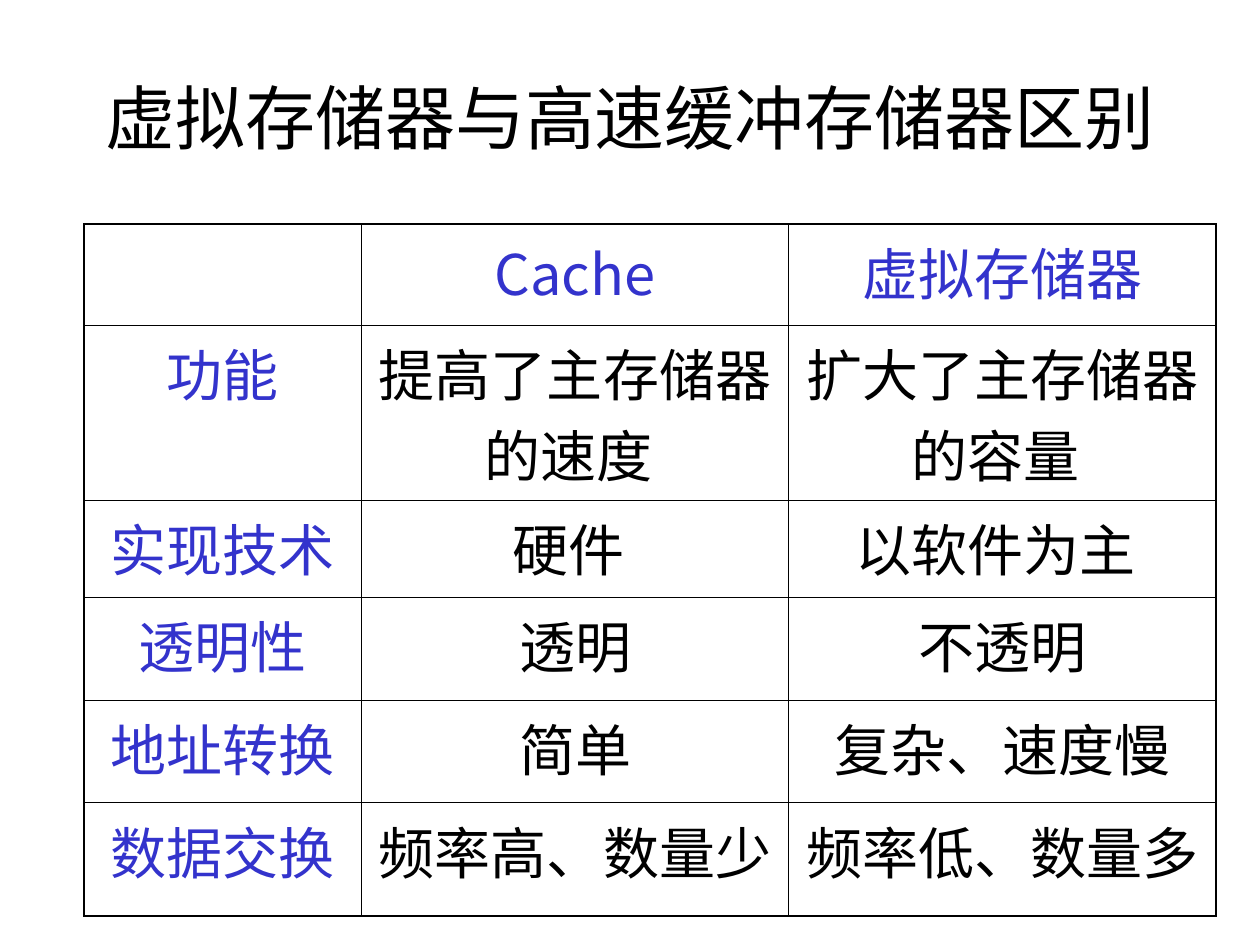
from lxml.etree import SubElement
from pptx import Presentation
from pptx.dml.color import RGBColor
from pptx.enum.text import MSO_ANCHOR, PP_ALIGN
from pptx.oxml import parse_xml
from pptx.oxml.ns import nsdecls, qn
from pptx.util import Cm, Pt

COLORS = {"text": "000000", "heading": "3333CC", "border": "000000"}
TABLE_FONT = "Noto Sans CJK SC"
COLUMN_WIDTHS = [5.59, 8.61, 8.61]
ROW_HEIGHTS = [2.03, 2.97, 1.96, 2.08, 2.06, 2.29]
ROWS = [
    ["", "Cache", "虚拟存储器"],
    ["功能", "提高了主存储器的速度 ", "扩大了主存储器的容量 "],
    ["实现技术", "硬件 ", "以软件为主 "],
    ["透明性", "透明", "不透明"],
    ["地址转换", "简单", "复杂、速度慢"],
    ["数据交换", "频率高、数量少", "频率低、数量多"],
]


def format_run(run, font_name, size, color):
    """Set the font, size and colour of a run."""
    run.font.name = font_name
    run.font.size = Pt(size)
    run.font.color.rgb = RGBColor.from_string(COLORS[color])


def add_title(slide, text, left, top, width, height):
    """Place and format the title placeholder in its box."""
    title = slide.shapes.title
    title.left, title.top, title.width, title.height = left, top, width, height
    title.text_frame.text = text
    title.text_frame.vertical_anchor = MSO_ANCHOR.MIDDLE
    paragraph = title.text_frame.paragraphs[0]
    paragraph.alignment = PP_ALIGN.CENTER
    format_run(paragraph.runs[0], "Arial", 40, "text")


def set_borders(cell, outer_sides):
    """Draw the four cell borders, thicker on the outer sides."""
    properties = cell._tc.get_or_add_tcPr()
    for index, side in enumerate("LRTB"):
        width = Pt(1.08 if side in outer_sides else 0.45)
        properties.insert(index, parse_xml(
            f'<a:ln{side} {nsdecls("a")} w="{width}"><a:solidFill>'
            f'<a:srgbClr val="{COLORS["border"]}"/></a:solidFill></a:ln{side}>'))


def fill_cell(cell, text, color):
    """Write centred text into a table cell."""
    cell.fill.background()
    cell.text_frame.text = text
    paragraph = cell.text_frame.paragraphs[0]
    paragraph.alignment = PP_ALIGN.CENTER
    paragraph.space_before = Pt(8)
    for run in paragraph.runs:
        format_run(run, TABLE_FONT, 32, color)
        SubElement(run.font._element, qn("a:ea"), typeface=TABLE_FONT)


def add_comparison_table(slide, left, top):
    """Add the comparison table with its headings and borders."""
    last_row, last_column = len(ROWS) - 1, len(COLUMN_WIDTHS) - 1
    table = slide.shapes.add_table(
        len(ROWS), len(COLUMN_WIDTHS), left, top,
        Cm(sum(COLUMN_WIDTHS)), Cm(sum(ROW_HEIGHTS))).table
    for column, width in zip(table.columns, COLUMN_WIDTHS):
        column.width = Cm(width)
    for row, height in zip(table.rows, ROW_HEIGHTS):
        row.height = Cm(height)
    for i, texts in enumerate(ROWS):
        for j, text in enumerate(texts):
            cell = table.cell(i, j)
            fill_cell(cell, text, "text" if i and j else "heading")
            edges = {"L": j == 0, "R": j == last_column,
                     "T": i == 0, "B": i == last_row}
            set_borders(cell, [side for side, outer in edges.items() if outer])


def main():
    """Build and save the presentation."""
    presentation = Presentation()
    presentation.slide_width, presentation.slide_height = Cm(25.4), Cm(19.05)
    slide = presentation.slides.add_slide(presentation.slide_layouts[5])
    add_title(slide, "虚拟存储器与高速缓冲存储器区别",
              Cm(1.27), Cm(0.76), Cm(22.86), Cm(3.18))
    add_comparison_table(slide, Cm(1.7), Cm(4.52))
    presentation.save("out.pptx")


if __name__ == "__main__":
    main()
